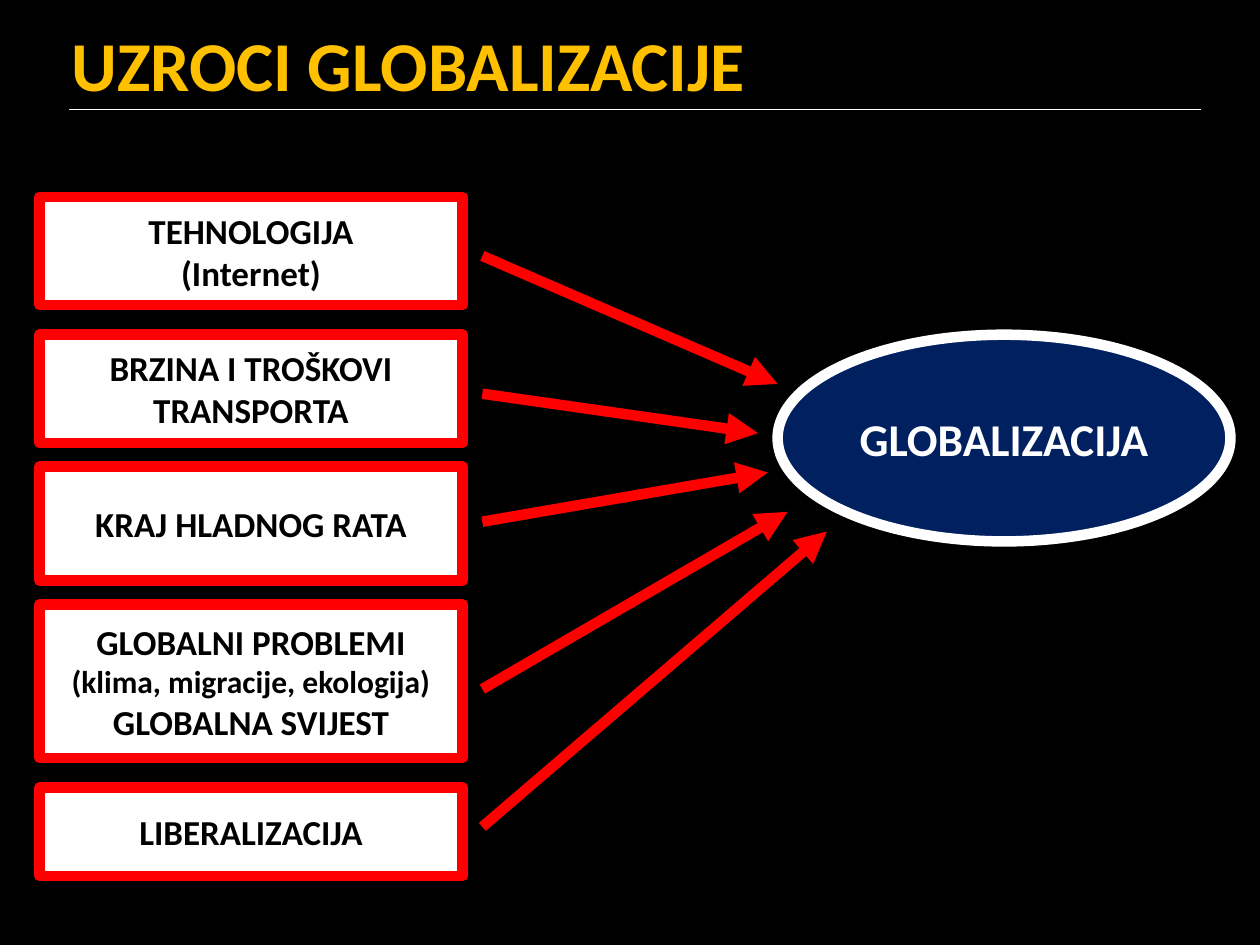
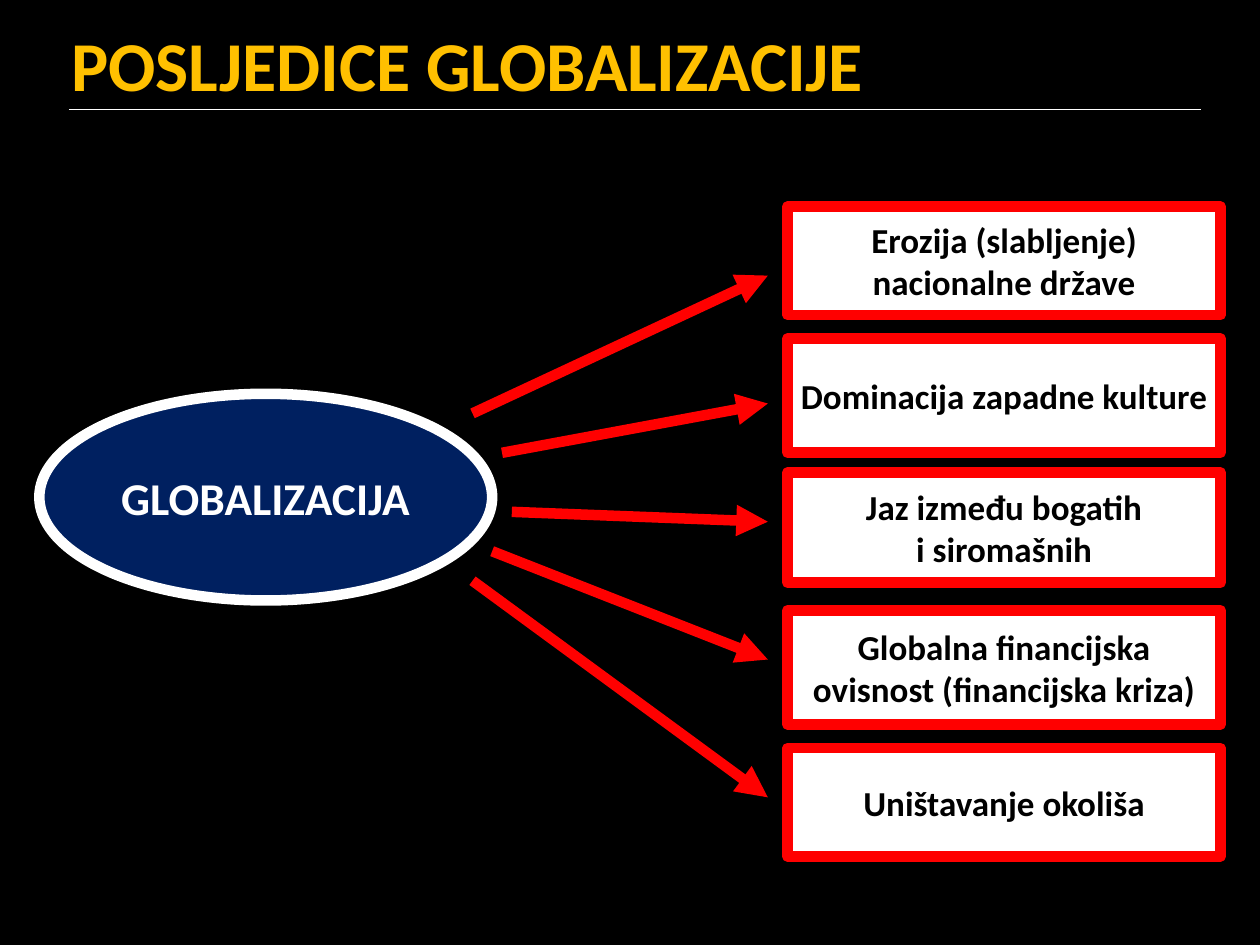
from pptx import Presentation
from pptx.dml.color import RGBColor
from pptx.enum.shapes import MSO_CONNECTOR as Link, MSO_SHAPE as Form
from pptx.enum.text import MSO_ANCHOR as Anchor, PP_ALIGN as Align
from pptx.oxml.ns import qn
from pptx.util import Inches, Pt
from lxml.etree import SubElement

# Grid of the slide
WIDE, HIGH = Inches(10), Inches(7.5)
COLS, ROWS = 64, 48

# Shared style
FONT = "Calibri"
BLACK, WHITE, RED = "000000", "FFFFFF", "FF0000"
GOLD, NAVY = "FFC000", "002060"
THICK = 6


def tint(code):
    return RGBColor.from_string(code)


def col(count):
    return round(WIDE * count / COLS)


def row(count):
    return round(HIGH * count / ROWS)


class Deck:
    def __init__(self):
        self.show = Presentation()
        self.show.slide_width, self.show.slide_height = WIDE, HIGH
        self.slide = None

    def page(self, title):
        """Start a black slide with its title and rule."""
        self.slide = self.show.slides.add_slide(self.show.slide_layouts[6])
        back = self.slide.background.fill
        back.solid()
        back.fore_color.rgb = tint(BLACK)
        self.line((3.5, 5.57), (61, 5.57), WHITE, 1)
        box = self.slide.shapes.add_textbox(col(3), row(0.5), col(61), row(5.5))
        frame = box.text_frame
        frame.margin_top = Inches(0.04)
        self.label(frame, [(title, 40)], GOLD, Align.LEFT)

    def label(self, frame, lines, color, align=Align.CENTER):
        """Fill a frame with one paragraph per (text, size) pair."""
        frame.word_wrap = True
        frame.vertical_anchor = Anchor.MIDDLE
        for i, (text, size) in enumerate(lines):
            para = frame.add_paragraph() if i else frame.paragraphs[0]
            para.alignment = align
            run = para.add_run()
            run.text = text
            font = run.font
            font.name, font.size, font.bold = FONT, Pt(size), True
            font.color.rgb = tint(color)

    def shape(self, form, place, fill, edge, lines, ink):
        x, y, w, h = place
        item = self.slide.shapes.add_shape(form, col(x), row(y), col(w), row(h))
        item.shadow.inherit = False
        item.fill.solid()
        item.fill.fore_color.rgb = tint(fill)
        item.line.color.rgb = tint(edge)
        item.line.width = Pt(THICK)
        self.label(item.text_frame, lines, ink)

    def hub(self, x, y):
        self.shape(Form.OVAL, (x, y, 23, 10.5), NAVY, WHITE,
                   [("GLOBALIZACIJA", 26)], WHITE)

    def card(self, place, *lines):
        """Add a framed box; a line may be text or a (text, size) pair."""
        pairs = [(line, 20) if isinstance(line, str) else line for line in lines]
        self.shape(Form.RECTANGLE, place, WHITE, RED, pairs, BLACK)

    def line(self, start, end, color, width):
        (x1, y1), (x2, y2) = start, end
        link = self.slide.shapes.add_connector(
            Link.STRAIGHT, col(x1), row(y1), col(x2), row(y2))
        link.line.color.rgb = tint(color)
        link.line.width = Pt(width)
        SubElement(link._element.spPr, qn("a:effectLst"))
        return link

    def arrow(self, start, end):
        link = self.line(start, end, RED, THICK)
        edge = link._element.spPr.find(qn("a:ln"))
        SubElement(edge, qn("a:tailEnd"), type="triangle")


def causes(deck):
    deck.page("UZROCI GLOBALIZACIJE")
    deck.hub(39.5, 17)
    # Top, height and lines of each cause, then its arrow's start and tip
    items = [
        (10, 5.5, ["TEHNOLOGIJA", "(Internet)"], 13, (39.5, 19.5)),
        (17, 5.5, ["BRZINA I TROŠKOVI TRANSPORTA"], 20, (38.5, 22)),
        (23.7, 5.8, ["KRAJ HLADNOG RATA"], 26.5, (39, 24)),
        (30.7, 7.8, ["GLOBALNI PROBLEMI", ("(klima, migracije, ekologija)", 18),
                     "GLOBALNA SVIJEST"], 35, (40, 26)),
        (40, 4.5, ["LIBERALIZACIJA"], 42, (42, 27)),
    ]
    for top, high, lines, start, tip in items:
        deck.card((2, top, 21.5, high), *lines)
        deck.arrow((24.5, start), tip)


def effects(deck):
    deck.page("POSLJEDICE GLOBALIZACIJE")
    deck.hub(2, 20)
    # Top, height and lines of each effect, then its arrow's start and tip
    items = [
        (10.5, 5.5, ["Erozija (slabljenje) nacionalne države"], (24, 21), 14),
        (17.2, 5.8, ["Dominacija zapadne kulture"], (25.5, 23), 20.5),
        (24, 5.6, ["Jaz između bogatih", "i siromašnih"], (26, 26), 26.5),
        (31, 5.8, ["Globalna financijska ovisnost (financijska kriza)"],
         (25, 28), 33.5),
        (38, 5.5, ["Uništavanje okoliša"], (24, 29.5), 40.5),
    ]
    for top, high, lines, start, tip in items:
        deck.card((40, top, 22, high), *lines)
        deck.arrow(start, (39, tip))


def main():
    deck = Deck()
    causes(deck)
    effects(deck)
    deck.show.save("out.pptx")


if __name__ == "__main__":
    main()
